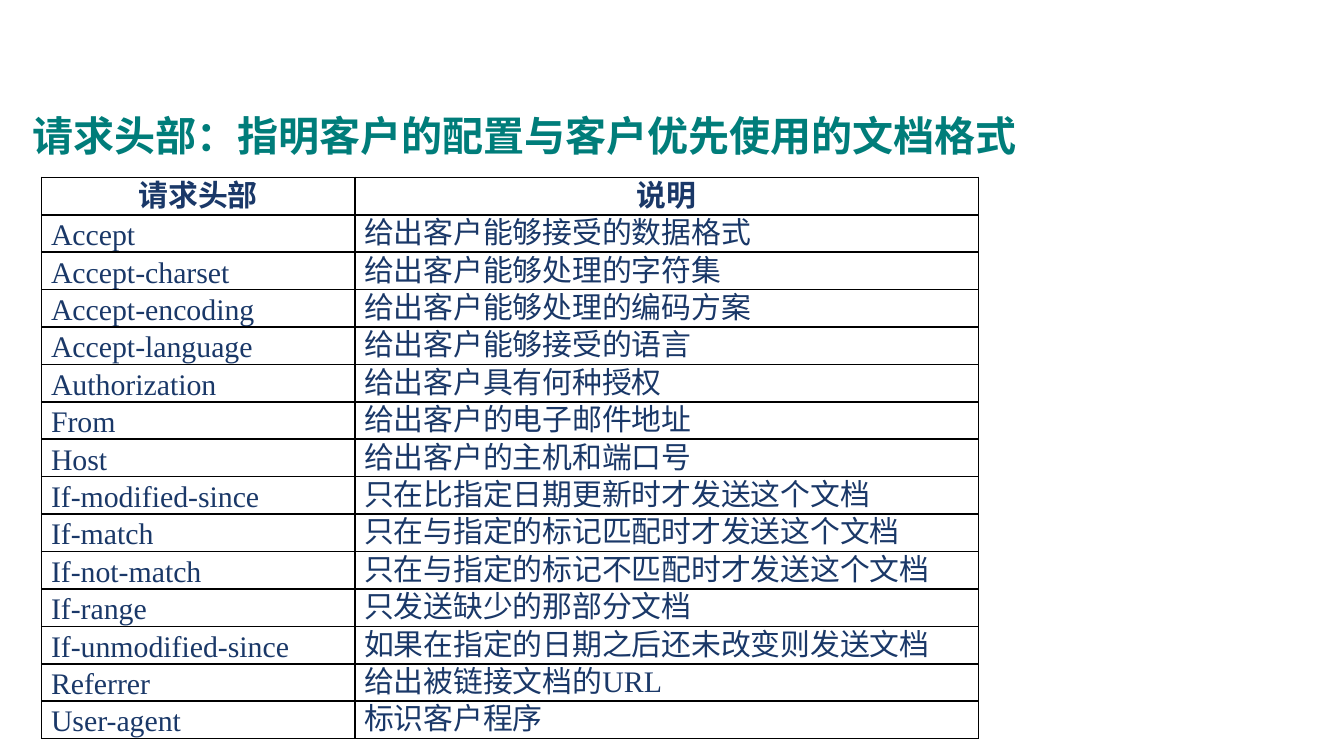
from lxml import etree
from pptx import Presentation
from pptx.dml.color import RGBColor
from pptx.enum.text import MSO_ANCHOR, PP_ALIGN
from pptx.oxml.ns import qn
from pptx.util import Inches, Pt

CENTER, JUSTIFY = PP_ALIGN.CENTER, PP_ALIGN.JUSTIFY
MIDDLE, TOP = MSO_ANCHOR.MIDDLE, MSO_ANCHOR.TOP

TEAL = RGBColor(0x00, 0x7D, 0x7A)
NAVY = RGBColor(0x1A, 0x38, 0x68)
BLACK = RGBColor(0x00, 0x00, 0x00)

FONT = "Times New Roman"
TITLE_FONT = {"name": FONT, "size": Pt(22), "bold": True}
HEADER_FONT = {"name": FONT, "size": Pt(16), "bold": True}
BODY_FONT = {"name": FONT, "size": Pt(16), "bold": False}
NO_MARGINS = dict.fromkeys(
    ("margin_left", "margin_top", "margin_right", "margin_bottom"), 0)
CELL_FORMAT = {**NO_MARGINS, "margin_left": Inches(0.07),
               "margin_right": Inches(0.07), "vertical_anchor": TOP}

TITLE = "请求头部：指明客户的配置与客户优先使用的文档格式"
HEADERS = [
    ("请求头部", "说明"),
    ("Accept", "给出客户能够接受的数据格式"),
    ("Accept-charset", "给出客户能够处理的字符集"),
    ("Accept-encoding", "给出客户能够处理的编码方案"),
    ("Accept-language", "给出客户能够接受的语言"),
    ("Authorization", "给出客户具有何种授权"),
    ("From", "给出客户的电子邮件地址"),
    ("Host", "给出客户的主机和端口号"),
    ("If-modified-since", "只在比指定日期更新时才发送这个文档"),
    ("If-match", "只在与指定的标记匹配时才发送这个文档"),
    ("If-not-match", "只在与指定的标记不匹配时才发送这个文档"),
    ("If-range", "只发送缺少的那部分文档"),
    ("If-unmodified-since", "如果在指定的日期之后还未改变则发送文档"),
    ("Referrer", "给出被链接文档的URL"),
    ("User-agent", "标识客户程序"),
]


def set_attributes(target, values):
    for name, value in values.items():
        setattr(target, name, value)


def format_paragraph(paragraph, text, font, color, alignment):
    paragraph.alignment = alignment
    run = paragraph.add_run()
    run.text = text
    set_attributes(run.font, font)
    run.font.color.rgb = color


def add_borders(cell, color, width):
    properties = cell._tc.get_or_add_tcPr()
    for position, side in enumerate(("lnL", "lnR", "lnT", "lnB")):
        line = etree.Element(qn(f"a:{side}"), w=str(width))
        fill = etree.SubElement(line, qn("a:solidFill"))
        etree.SubElement(fill, qn("a:srgbClr"), val=str(color))
        properties.insert(position, line)


def place_title(slide, left, top, width, height):
    title = slide.shapes.title
    set_attributes(title, {"left": left, "top": top,
                           "width": width, "height": height})
    frame = title.text_frame
    set_attributes(frame, {**NO_MARGINS, "word_wrap": True,
                           "vertical_anchor": MIDDLE})
    format_paragraph(frame.paragraphs[0], TITLE, TITLE_FONT, TEAL, CENTER)


def add_header_table(slide, left, top, width, height):
    shape = slide.shapes.add_table(len(HEADERS), 2, left, top, width, height)
    table = shape.table
    set_attributes(table, {"first_row": False, "horz_banding": False})
    name_width = Inches(2.33)
    table.columns[0].width = name_width
    table.columns[1].width = width - name_width

    for row_index, texts in enumerate(HEADERS):
        table.rows[row_index].height = height // len(HEADERS)
        is_header = row_index == 0
        font = HEADER_FONT if is_header else BODY_FONT
        alignment = CENTER if is_header else JUSTIFY
        for column_index, text in enumerate(texts):
            cell = table.cell(row_index, column_index)
            set_attributes(cell, CELL_FORMAT)
            cell.fill.background()
            add_borders(cell, BLACK, Pt(1))
            paragraph = cell.text_frame.paragraphs[0]
            paragraph.line_spacing = Pt(20)
            format_paragraph(paragraph, text, font, NAVY, alignment)


def main():
    presentation = Presentation()
    # Widescreen, 16:9
    presentation.slide_width = Inches(10)
    presentation.slide_height = Inches(10) * 9 // 16
    title_only = presentation.slide_layouts[5]
    slide = presentation.slides.add_slide(title_only)

    # Title above the table
    place_title(slide, Inches(0.12), Inches(0.77), Inches(7.56), Inches(0.47))
    # Request headers and their meaning
    add_header_table(slide, Inches(0.31), Inches(1.32), Inches(6.97), Inches(4.17))

    presentation.save("out.pptx")


if __name__ == "__main__":
    main()
